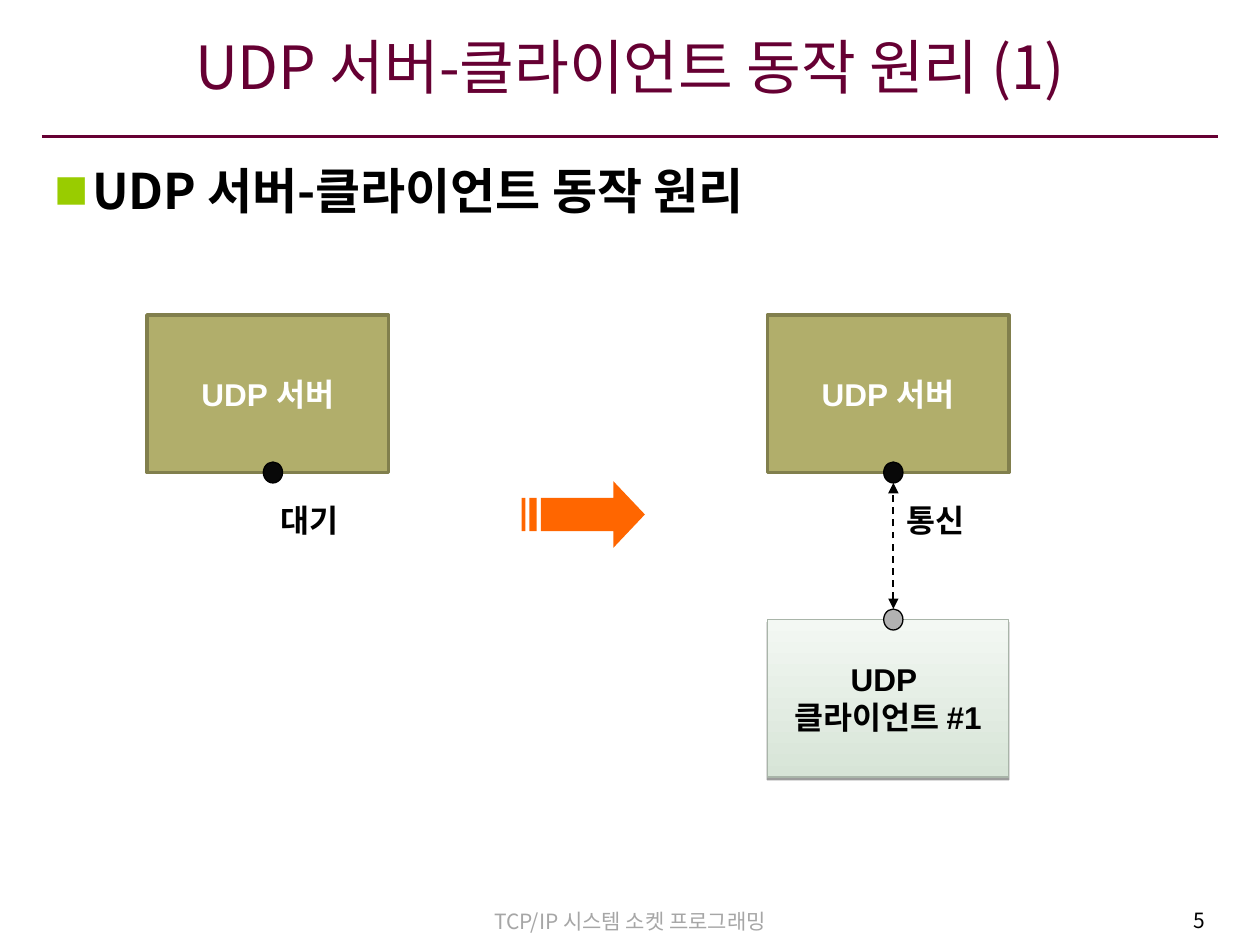
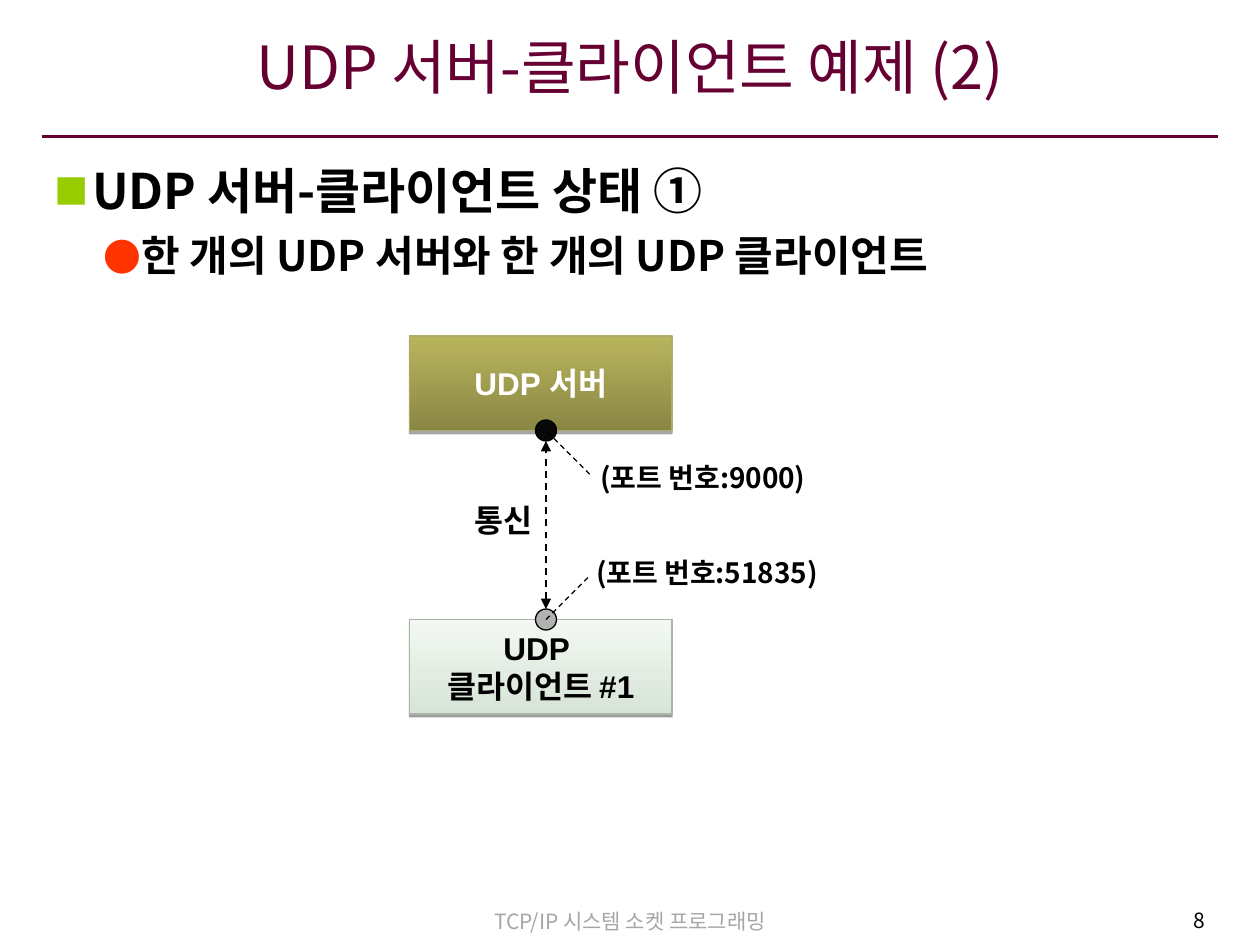
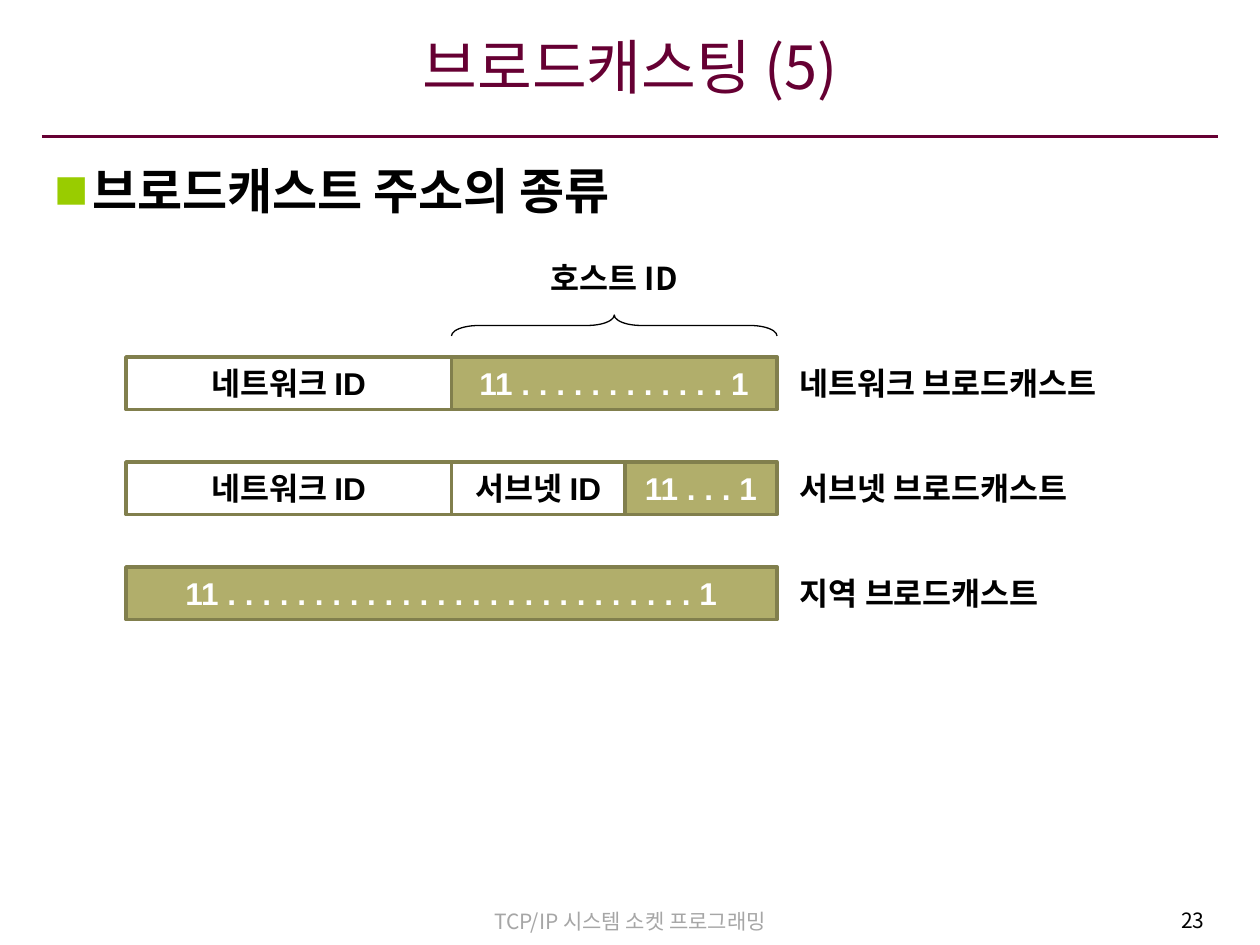
import dataclasses

import lxml.etree
import pptx
import pptx.dml.color
import pptx.enum.dml
import pptx.enum.shapes
import pptx.enum.text
import pptx.oxml.ns
import pptx.util

Pt = pptx.util.Pt
SHAPE = pptx.enum.shapes.MSO_SHAPE
ALIGN = pptx.enum.text.PP_ALIGN
qn = pptx.oxml.ns.qn


@dataclasses.dataclass(frozen=True)
class Theme:
    font: str = "Noto Sans CJK KR"
    shape_font: str = "Arial"
    title_size: float = 34
    list_sizes: tuple = (28, 24)
    label_size: float = 18
    port_size: float = 16
    footer_size: float = 12
    plum: str = "660033"
    black: str = "000000"
    white: str = "FFFFFF"
    grey: str = "A6A6A6"
    olive: str = "B1AE6B"
    olive_line: str = "817F4D"
    olive_edge: str = "AFAC67"
    olive_gradient: tuple = ("8A8745", "B8B45C")
    mint_gradient: tuple = ("D7E4D7", "F3F8F3")
    mint_edge: str = "A9B5A9"
    server_dot: str = "080808"
    client_dot: str = "B2B2B2"
    orange: str = "FF6600"


@dataclasses.dataclass(frozen=True)
class Box:
    left: float
    top: float
    width: float
    height: float

    @property
    def bottom(self):
        return self.top + self.height

    @property
    def middle(self):
        return self.left + self.width / 2

    def emu(self):
        return [Pt(v) for v in (self.left, self.top, self.width, self.height)]


@dataclasses.dataclass(frozen=True)
class BoxStyle:
    fill: object  # a colour, a (bottom, top) gradient, or None
    edge: str
    edge_width: float
    ink: str
    shadow: tuple = ()  # opacity in percent, distance


T = Theme()
FLAT = BoxStyle(T.olive, T.olive_line, 2, T.white)
OPEN = BoxStyle(None, T.olive_line, 2, T.black)
SERVER = BoxStyle(T.olive_gradient, T.olive_edge, 0.75, T.white, (35, 1.8))
CLIENT = BoxStyle(T.mint_gradient, T.mint_edge, 0.75, T.black, (38, 1.6))
# level: indent, space before, bullet, bullet colour, bullet size in percent
BULLETS = ((21.6, 7, "■", "99CC00", 70), (49.7, 6, "●", "FF3300", 90))
DOT_SHIFT = 3  # dots sit slightly right of the middle of a box
DOT_HEIGHT = 12


def rgb(color):
    return pptx.dml.color.RGBColor.from_string(color)


def add_xml(parent, tag, **attributes):
    return lxml.etree.SubElement(
        parent, qn(tag), {k: str(v) for k, v in attributes.items()})


# Text

def style_paragraph(p, size, color, font=T.font, bold=False, align=None):
    p.alignment = align
    for r in p.runs:
        r.font.size, r.font.bold = Pt(size), bold
        r.font.color.rgb = rgb(color)
        r.font.name = font
        add_xml(r.font._element, "a:ea", typeface=T.font)


def set_text(tf, text, size, color, **style):
    tf.text = text
    for p in tf.paragraphs:
        style_paragraph(p, size, color, **style)


def set_frame(tf, wrap, anchor=pptx.enum.text.MSO_ANCHOR.MIDDLE):
    tf.auto_size = pptx.enum.text.MSO_AUTO_SIZE.NONE
    tf.word_wrap = wrap
    tf.vertical_anchor = anchor


def add_label(s, box, text, size=T.label_size, color=T.black, bold=True,
              align=ALIGN.LEFT):
    tf = s.shapes.add_textbox(*box.emu()).text_frame
    set_frame(tf, False)
    set_text(tf, text, size, color, bold=bold, align=align)


# Shapes and lines

def paint(sp, fill, edge, edge_width):
    sp.shadow.inherit = False
    if fill is None:
        sp.fill.background()
    elif isinstance(fill, tuple):
        sp.fill.gradient()
        sp.fill.gradient_angle = 90
        for stop, color in zip(sp.fill.gradient_stops, fill):
            stop.color.rgb = rgb(color)
    else:
        sp.fill.solid()
        sp.fill.fore_color.rgb = rgb(fill)
    if edge is None:
        sp.line.fill.background()
    else:
        sp.line.color.rgb = rgb(edge)
        sp.line.width = Pt(edge_width)


def add_box(s, box, text, style):
    sp = s.shapes.add_shape(SHAPE.RECTANGLE, *box.emu())
    paint(sp, style.fill, style.edge, style.edge_width)
    if style.shadow:
        opacity, distance = style.shadow
        effects = sp._element.spPr.find(qn("a:effectLst"))
        shadow = add_xml(effects, "a:outerShdw", blurRad=0, dist=Pt(distance),
                         dir=90 * 60000, rotWithShape=0)
        color = add_xml(shadow, "a:srgbClr", val=T.black)
        add_xml(color, "a:alpha", val=opacity * 1000)
    set_frame(sp.text_frame, False)
    set_text(sp.text_frame, text, T.label_size, style.ink,
             font=T.shape_font, bold=True, align=ALIGN.CENTER)


def add_dot(s, x, y, width, fill):
    box = Box(x - width / 2, y - DOT_HEIGHT / 2, width, DOT_HEIGHT)
    paint(s.shapes.add_shape(SHAPE.OVAL, *box.emu()), fill, T.black, 0.75)


def add_line(s, x1, y1, x2, y2, color=T.black, width=0.75, dashed=True,
             arrows=False):
    line = s.shapes.add_connector(pptx.enum.shapes.MSO_CONNECTOR.STRAIGHT,
                                  Pt(x1), Pt(y1), Pt(x2), Pt(y2))
    line.line.color.rgb = rgb(color)
    line.line.width = Pt(width)
    if dashed:
        line.line.dash_style = pptx.enum.dml.MSO_LINE.DASH
    if arrows:
        for end in ("a:headEnd", "a:tailEnd"):
            add_xml(line.line._get_or_add_ln(), end, type="triangle")
    add_xml(line._element.spPr, "a:effectLst")


# Regions

def add_bullets(tf, items):
    tf.text = "\n".join(items)
    for level, p in enumerate(tf.paragraphs):
        indent, before, char, color, percent = BULLETS[level]
        p.level = level
        p.space_before = Pt(before)
        style_paragraph(p, T.list_sizes[level], T.black, bold=True)
        pPr = p._p.get_or_add_pPr()
        pPr.set("marL", str(Pt(indent)))
        pPr.set("indent", str(-Pt(BULLETS[0][0])))
        add_xml(add_xml(pPr, "a:buClr"), "a:srgbClr", val=color)
        add_xml(pPr, "a:buSzPct", val=percent * 1000)
        add_xml(pPr, "a:buFont", typeface=T.font)
        add_xml(pPr, "a:buChar", char=char)


def add_base_slide(prs, title, items, page):
    s = prs.slides.add_slide(prs.slide_layouts[1])
    add_line(s, 24, 78, 696, 78, T.plum, 2.25, dashed=False)
    # Footer and page number
    add_label(s, Box(207, 515.5, 306, 22), "TCP/IP 시스템 소켓 프로그래밍",
              T.footer_size, T.grey, False, ALIGN.CENTER)
    add_label(s, Box(543, 515, 152.5, 22), str(page),
              T.footer_size, T.black, False, ALIGN.RIGHT)
    # Title and list
    heading, body = s.shapes.title, s.placeholders[1]
    for sp, box in ((heading, Box(24, 11, 672, 61)),
                    (body, Box(24, 88, 672, 422))):
        sp.left, sp.top, sp.width, sp.height = box.emu()
    tf = heading.text_frame
    set_frame(tf, True)
    tf.margin_left = tf.margin_right = Pt(6)
    tf.margin_top, tf.margin_bottom = Pt(3.6), Pt(11.5)
    set_text(tf, title, T.title_size, T.plum, align=ALIGN.CENTER)
    set_frame(body.text_frame, True, pptx.enum.text.MSO_ANCHOR.TOP)
    add_bullets(body.text_frame, items)
    return s


def add_server(s, box, style, dot_width):
    add_box(s, box, "UDP 서버", style)
    add_dot(s, box.middle + DOT_SHIFT, box.bottom, dot_width, T.server_dot)


def add_server_and_client(s, box, height, style, dot_width):
    """Server at the top of the box, client at its bottom, joined by an arrow."""
    server = Box(box.left, box.top, box.width, height)
    client = Box(box.left, box.bottom - height, box.width, height)
    add_server(s, server, style, dot_width)
    add_box(s, client, "UDP \n클라이언트 #1", CLIENT)
    x, gap = box.middle + DOT_SHIFT, DOT_HEIGHT / 2
    add_dot(s, x, client.top, dot_width, T.client_dot)
    add_line(s, x, client.top - gap, x, server.bottom + gap,
             width=1, arrows=True)


def add_port_notes(s, x, server_y, client_y):
    """Port numbers with leader lines from the two dots at x."""
    add_label(s, Box(x + 24, server_y + 18, 132, 18), "(포트 번호:9000)", T.port_size)
    add_label(s, Box(x + 18, client_y - 36, 132, 18), " (포트 번호:51835)", T.port_size)
    add_line(s, x, client_y, x + 24, client_y - 24)
    add_line(s, x + 1, server_y + 1, x + 25, server_y + 25)


def add_striped_arrow(s, box):
    x_head, x_tip, x_shaft = 52.5, box.width, 11
    y_shaft, y_under = box.height * 0.25, box.height * 0.75
    outline = [(x_head, 0), (x_head, y_shaft), (x_shaft, y_shaft),
               (x_shaft, y_under), (x_head, y_under), (x_head, box.height),
               (x_tip, box.height / 2)]
    stripes = [[(x1, y_shaft), (x1, y_under), (x2, y_under), (x2, y_shaft)]
               for x1, x2 in ((4.5, 8.7), (0, 2.2))]

    def place(points):
        return [(Pt(box.left + x), Pt(box.top + y)) for x, y in points]

    first, *rest = place(outline)
    builder = s.shapes.build_freeform(*first)
    builder.add_line_segments(rest)
    for stripe in stripes:
        first, *rest = place(stripe)
        builder.move_to(*first)
        builder.add_line_segments(rest)
    paint(builder.convert_to_shape(), T.orange, None, 0)


def add_host_brace(s, box):
    """Label over a brace that spans the width of the box."""
    depth = 12
    add_label(s, Box(box.left, box.top, box.width, 30), "호스트 ID",
              align=ALIGN.CENTER)
    middle_y = box.bottom - depth / 2
    upright = Box(box.middle - depth / 2, middle_y - box.width / 2,
                  depth, box.width)
    sp = s.shapes.add_shape(SHAPE.LEFT_BRACE, *upright.emu())
    sp.rotation = 90
    sp.adjustments[0] = 1.29
    paint(sp, None, T.black, 0.75)


def add_address_row(s, box, cells, label):
    left = box.left
    for text, share, style in cells:
        width = box.width * share
        add_box(s, Box(left, box.top, width, box.height), text, style)
        left += width
    add_label(s, Box(left + 6, box.top, 198, box.height), label)


# Slides

def add_principle_slide(prs):
    s = add_base_slide(prs, "UDP 서버-클라이언트 동작 원리 (1)",
                       ["UDP 서버-클라이언트 동작 원리"], 5)
    add_server(s, Box(84, 180, 138, 90), FLAT, 11)
    add_server_and_client(s, Box(438.5, 180, 138, 264), 90, FLAT, 11)
    add_striped_arrow(s, Box(298, 275, 70.5, 38))
    for left, text in ((153, "대기"), (511, "통신")):
        add_label(s, Box(left, 288, 122, 18), text)


def add_example_slide(prs):
    s = add_base_slide(prs, "UDP 서버-클라이언트 예제 (2)",
                       ["UDP 서버-클라이언트 상태 ①",
                        "한 개의 UDP 서버와 한 개의 UDP 클라이언트"], 8)
    add_server_and_client(s, Box(234, 192, 150, 216), 54, SERVER, 12)
    add_label(s, Box(264, 288, 132, 18), "통신")
    add_port_notes(s, 312, 246, 354)


def add_broadcast_slide(prs):
    s = add_base_slide(prs, "브로드캐스팅 (5)", ["브로드캐스트 주소의 종류"], 23)
    add_host_brace(s, Box(258, 144, 186, 48))
    network = ("네트워크 ID", 1 / 2, OPEN)
    rows = (
        ([network, ("11 . . . . . . . . . . . . 1", 1 / 2, FLAT)],
         "네트워크 브로드캐스트"),
        ([network, ("서브넷 ID", 4 / 15, OPEN), ("11 . . . 1", 7 / 30, FLAT)],
         "서브넷 브로드캐스트"),
        ([("11 . . . . . . . . . . . . . . . . . . . . . . . . . . . 1", 1, FLAT)],
         "지역 브로드캐스트"),
    )
    for i, (cells, label) in enumerate(rows):
        add_address_row(s, Box(72, 204 + 60 * i, 372, 30), cells, label)


def main():
    prs = pptx.Presentation()
    prs.slide_width, prs.slide_height = Pt(720), Pt(540)
    add_principle_slide(prs)
    add_example_slide(prs)
    add_broadcast_slide(prs)
    prs.save("out.pptx")


if __name__ == "__main__":
    main()
